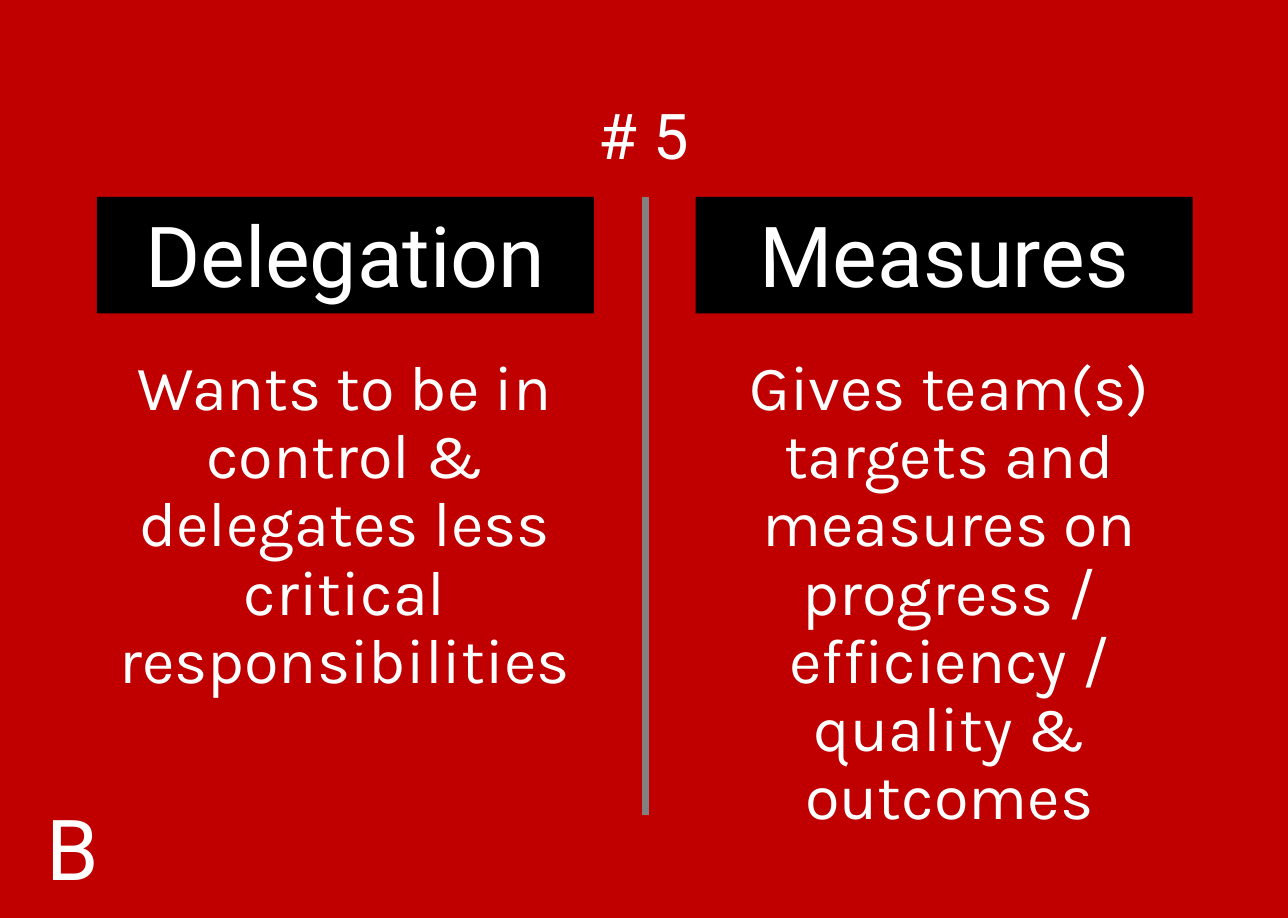
import pptx
import pptx.util
import pptx.dml.color
import pptx.enum.shapes
import pptx.enum.text
import pptx.oxml
import pptx.oxml.ns

Pt = pptx.util.Pt
RGBColor = pptx.dml.color.RGBColor
Align = pptx.enum.text.PP_ALIGN
Anchor = pptx.enum.text.MSO_ANCHOR

RED = RGBColor(0xC0, 0x00, 0x00)
BLACK = RGBColor(0x00, 0x00, 0x00)
WHITE = RGBColor(0xFF, 0xFF, 0xFF)
GRAY = RGBColor(0x80, 0x80, 0x80)

TOP = 93.6
HEAD = 55.4
GAP = 8.7
DEEP = 229.7


def place(shape, left, top, width, height):
    shape.left, shape.top = Pt(left), Pt(top)
    shape.width, shape.height = Pt(width), Pt(height)


def write(shape, text, font, size, inset=3.6, anchor=Anchor.TOP,
          align=Align.CENTER, lead=0.9):
    frame = shape.text_frame
    frame.text = text
    frame.word_wrap = True
    frame.auto_size = pptx.enum.text.MSO_AUTO_SIZE.NONE
    frame.vertical_anchor = anchor
    frame.margin_left = frame.margin_right = Pt(7.2)
    frame.margin_top, frame.margin_bottom = Pt(inset), Pt(3.6)
    line = frame.paragraphs[0]
    props = line._p.get_or_add_pPr()
    props.set("marL", "0")
    props.set("indent", "0")
    props.append(pptx.oxml.parse_xml(
        "<a:buNone %s/>" % pptx.oxml.ns.nsdecls("a")))
    line.alignment = align
    line.line_spacing = lead
    line.space_before = Pt(0)
    face = line.runs[0].font
    face.name, face.size, face.bold = font, Pt(size), False
    face.color.rgb = WHITE


def column(head, body, box, pads, title, text):
    left, top, width, height = box
    before, after = pads
    place(head, left, top, width, HEAD)
    head.fill.solid()
    head.fill.fore_color.rgb = BLACK
    write(head, title, "Roboto", 40, anchor=Anchor.BOTTOM)
    place(body, left - before, top + HEAD + GAP,
          width + before + after, height - HEAD - GAP)
    write(body, text, "Karla", 30, inset=11.5)


def divide(slide, x, top, height):
    rule = slide.shapes.add_connector(
        pptx.enum.shapes.MSO_CONNECTOR.STRAIGHT,
        Pt(x), Pt(top), Pt(x), Pt(top + height))
    rule.line.color.rgb = GRAY
    rule.line.width = Pt(3)
    rule._element.spPr.append(pptx.oxml.parse_xml(
        "<a:effectLst %s/>" % pptx.oxml.ns.nsdecls("a")))


def number(title, left, top, width, height):
    place(title, left, top, width, height)
    write(title, "# 5", "Roboto", 30, inset=11.5)


def letter(slide, left, top, width, height):
    mark = slide.shapes.add_textbox(
        Pt(left), Pt(top), Pt(width), Pt(height))
    write(mark, "B", "Roboto", 40, align=Align.LEFT, lead=1.0)


def main():
    deck = pptx.Presentation()
    deck.slide_width, deck.slide_height = Pt(612), Pt(436.3)
    slide = deck.slides.add_slide(deck.slide_layouts[4])
    slide.background.fill.solid()
    slide.background.fill.fore_color.rgb = RED
    parts = {part.placeholder_format.idx: part for part in slide.placeholders}
    tall = HEAD + GAP + DEEP

    divide(slide, 306.7, TOP, tall)
    column(parts[1], parts[2], (46, TOP, 236.2, tall), (10, 9.4),
           "Delegation",
           "Wants to be in control & delegates less critical responsibilities")
    column(parts[3], parts[4], (330.5, TOP, 236.2, tall), (9.4, 14.4),
           "Measures",
           "Gives team(s) targets and measures on progress / efficiency / "
           "quality & outcomes")
    number(parts[0], 262.1, 38.2, 87.8, HEAD)
    letter(slide, 15.1, 375.1, 31, HEAD)
    deck.save("out.pptx")


if __name__ == "__main__":
    main()
